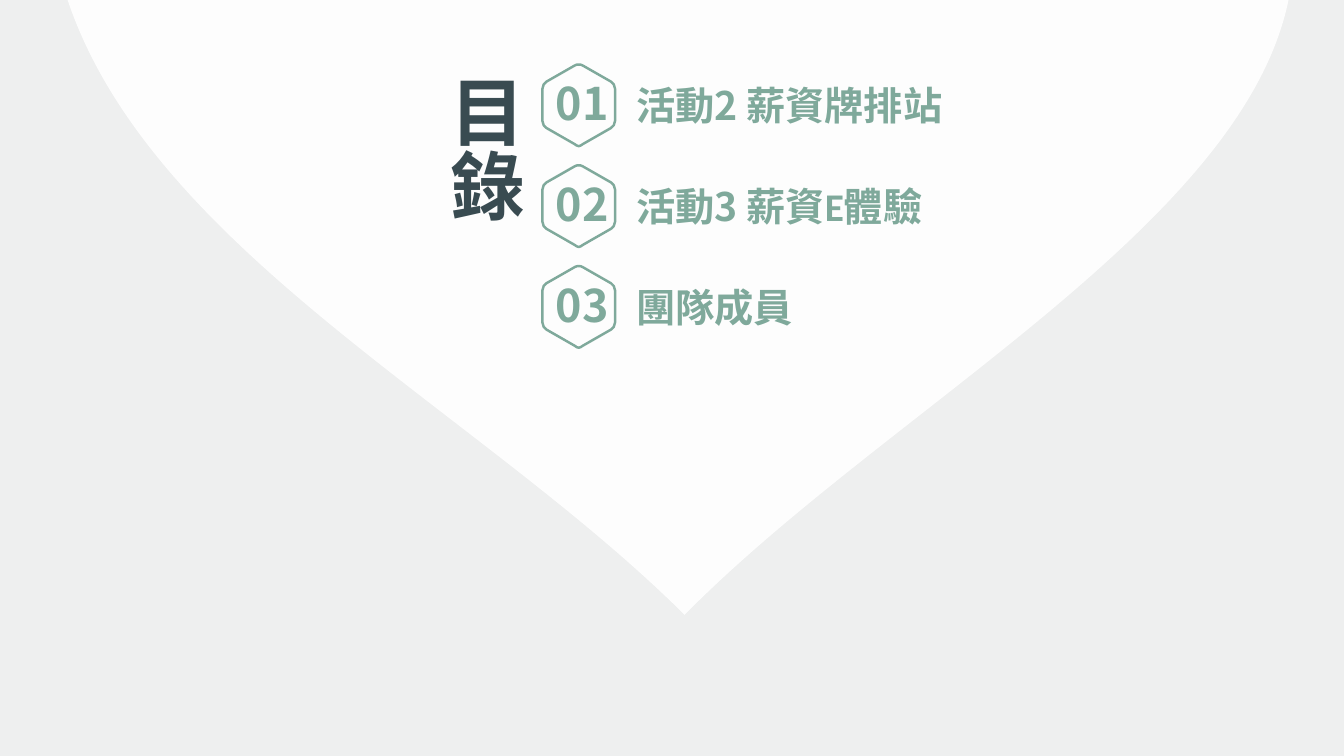
from dataclasses import dataclass

from lxml.etree import SubElement
from pptx import Presentation
from pptx.dml.color import RGBColor
from pptx.enum.text import MSO_ANCHOR, MSO_AUTO_SIZE, PP_ALIGN
from pptx.oxml.ns import qn
from pptx.shapes.autoshape import Shape
from pptx.slide import Slide
from pptx.text.text import TextFrame
from pptx.util import Emu, Pt

EMU_PER_PX = 9144  # 100 px to the inch
SLIDE_W, SLIDE_H = 1333, 750

MIST = RGBColor(0xEE, 0xEF, 0xEF)
WHITE = RGBColor(0xFF, 0xFF, 0xFF)
SLATE = RGBColor(0x39, 0x4B, 0x51)
SAGE = RGBColor(0x7F, 0xA9, 0x9B)

CJK_FONT = "Noto Sans CJK SC"
LATIN_FONT = "Calibri"

HEXAGON_LEFT = 538
FIRST_TOP = 64
ENTRY_PITCH = 100

Point = tuple[int, int]
Segment = tuple[Point, ...]  # an end point, or two curve handles and an end point


@dataclass(frozen=True)
class Outline:
    start: Point
    segments: tuple[Segment, ...]


@dataclass(frozen=True)
class Entry:
    number: str
    label: tuple[tuple[str, str], ...]  # (text, font) pairs


HEART = Outline((67, 0), (
    ((1278, 0),),
    ((1232, 224), (879, 407), (679, 610)),
    ((475, 407), (151, 249), (67, 0)),
))

HEXAGON = Outline((36, 0), (
    ((37, 0), (39, 0), (40, 1)),
    ((68, 17),),
    ((70, 18), (72, 21), (72, 24)),
    ((72, 56),),
    ((72, 59), (70, 62), (68, 63)),
    ((40, 79),),
    ((39, 80), (37, 81), (36, 81)),
    ((35, 81), (33, 80), (32, 79)),
    ((4, 63),),
    ((2, 62), (0, 59), (0, 56)),
    ((0, 24),),
    ((0, 21), (2, 18), (4, 17)),
    ((32, 1),),
    ((33, 0), (35, 0), (36, 0)),
))

ENTRIES = (
    Entry("01", (("活動2 薪資牌排站", CJK_FONT),)),
    Entry("02", (("活動3 薪資", CJK_FONT), ("E", LATIN_FONT), ("體驗", CJK_FONT))),
    Entry("03", (("團隊成員", CJK_FONT),)),
)


def px(length: int) -> Emu:
    return Emu(length * EMU_PER_PX)


def add_outline(slide: Slide, outline: Outline, left: int = 0, top: int = 0) -> Shape:
    """Draw an outline, moved by left and top, with true curves."""
    def place(point: Point) -> tuple[Emu, Emu]:
        return px(point[0] + left), px(point[1] + top)

    builder = slide.shapes.build_freeform(*place(outline.start), scale=1.0)
    builder.add_line_segments([place(s[-1]) for s in outline.segments], close=True)
    shape = builder.convert_to_shape()
    shape.shadow.inherit = False

    sides = list(shape.element.iter(qn("a:lnTo")))
    for side, segment in zip(sides, outline.segments):
        if len(segment) == 1:
            continue
        side.tag = qn("a:cubicBezTo")
        side.clear()
        for point in segment:
            x, y = place(point)
            vertex = SubElement(side, qn("a:pt"))
            vertex.set("x", str(x - shape.left))
            vertex.set("y", str(y - shape.top))
    return shape


def write(
    frame: TextFrame,
    *runs: tuple[str, str],
    size: float,
    color: RGBColor,
    align: PP_ALIGN = PP_ALIGN.LEFT,
    anchor: MSO_ANCHOR = MSO_ANCHOR.MIDDLE,
) -> None:
    frame.word_wrap = True
    frame.vertical_anchor = anchor
    paragraph = frame.paragraphs[0]
    paragraph.alignment = align
    for text, font_name in runs:
        run = paragraph.add_run()
        run.text = text
        run.font.size = Pt(size)
        run.font.bold = True
        run.font.color.rgb = color
        run.font.name = font_name
        east_asian = SubElement(run.font._element, qn("a:ea"))
        east_asian.set("typeface", CJK_FONT)


def add_heart(slide: Slide) -> Shape:
    heart = add_outline(slide, HEART)
    heart.fill.solid()
    heart.fill.fore_color.rgb = WHITE
    heart.line.fill.background()
    color = heart.element.spPr.find(qn("a:solidFill"))[0]
    SubElement(color, qn("a:alpha")).set("val", "91000")
    return heart


def format_title(title: Shape) -> None:
    title.left, title.top, title.width, title.height = map(px, (426, 64, 110, 170))
    frame = title.text_frame
    frame.margin_left, frame.margin_top = px(15), px(10)
    write(frame, ("目錄", CJK_FONT), size=53.3, color=SLATE, anchor=MSO_ANCHOR.TOP)
    frame.auto_size = MSO_AUTO_SIZE.SHAPE_TO_FIT_TEXT
    title.element.txBody.find(qn("a:bodyPr")).set("vert", "eaVert")


def add_entry(slide: Slide, entry: Entry, top: int) -> None:
    hexagon = add_outline(slide, HEXAGON, HEXAGON_LEFT, top)
    hexagon.fill.background()
    hexagon.line.color.rgb = SAGE
    hexagon.line.width = Pt(1.75)

    number = slide.shapes.add_textbox(px(503), px(top + 6), px(149), px(64))
    write(number.text_frame, (entry.number, CJK_FONT), size=32, color=SAGE,
          align=PP_ALIGN.CENTER)

    label = slide.shapes.add_textbox(px(610), px(top + 17), px(354), px(47))
    frame = label.text_frame
    frame.margin_left = px(21)
    frame.margin_top = frame.margin_right = frame.margin_bottom = 0
    write(frame, *entry.label, size=28, color=SAGE)


def main() -> None:
    presentation = Presentation()
    presentation.slide_width, presentation.slide_height = px(SLIDE_W), px(SLIDE_H)
    slide = presentation.slides.add_slide(presentation.slide_layouts.get_by_name("Title Only"))
    slide.background.fill.solid()
    slide.background.fill.fore_color.rgb = MIST

    heart = add_heart(slide)
    title = slide.shapes.title
    format_title(title)
    heart.element.addnext(title.element)  # the title lies in front of the heart
    for row, entry in enumerate(ENTRIES):
        add_entry(slide, entry, FIRST_TOP + row * ENTRY_PITCH)
    presentation.save("out.pptx")


if __name__ == "__main__":
    main()
